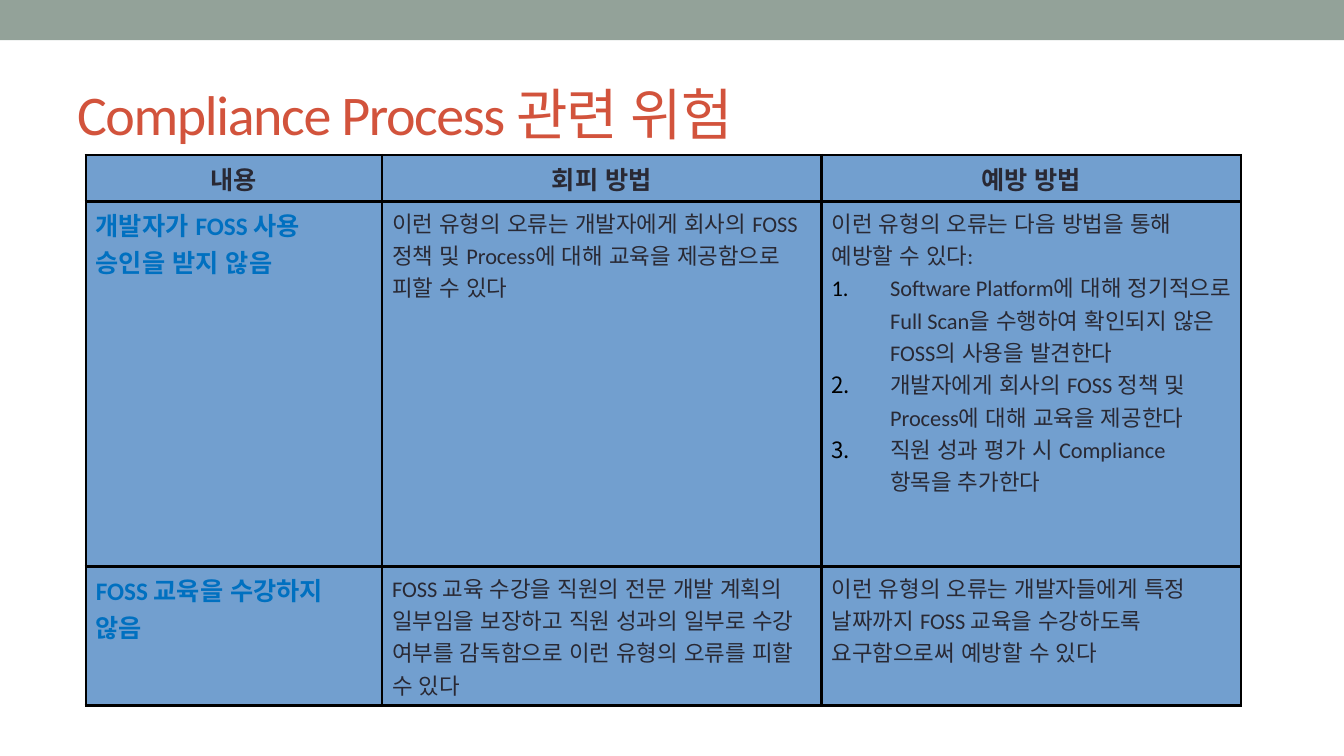
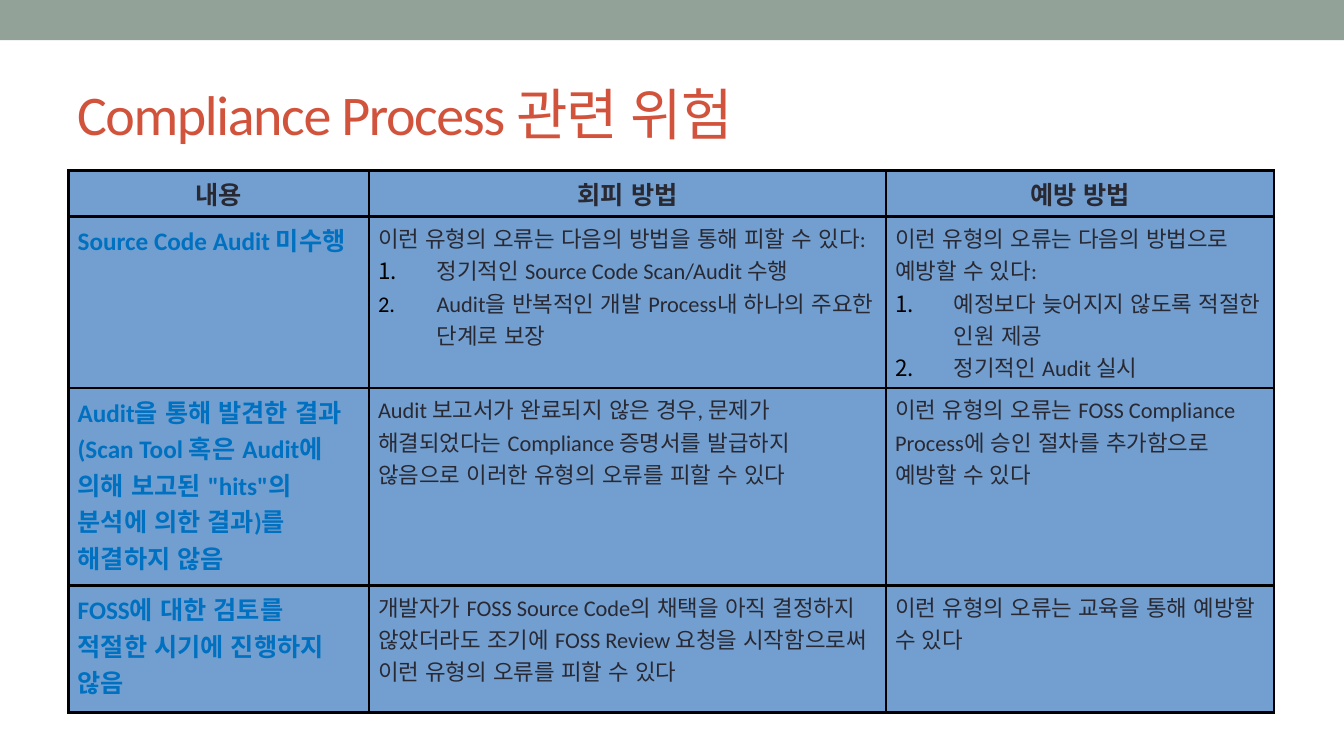
from dataclasses import dataclass

import lxml.etree
import pptx
import pptx.dml.color
import pptx.enum.lang
import pptx.enum.shapes
import pptx.enum.text
import pptx.oxml.ns
import pptx.util

WIDE = pptx.util.Inches(13.33)
HIGH = pptx.util.Inches(7.5)


@dataclass(frozen=True)
class Theme:
    font: str = "Calibri"
    band: str = "93A299"
    title: str = "D2533C"
    ink: str = "292934"
    topic: str = "0070C0"
    cell: str = "729FCF"
    line: str = "000000"
    big: float = 40
    head: float = 18
    body: float = 16
    rule: float = 1.98
    tight: int = -100


@dataclass(frozen=True)
class Risk:
    topic: str
    avoid: str
    guard: str
    avoid_steps: tuple[str, ...] = ()
    guard_steps: tuple[str, ...] = ()


@dataclass(frozen=True)
class Page:
    left: float
    top: float
    cols: tuple[float, ...]
    rows: tuple[float, ...]
    pad: float
    risks: tuple[Risk, ...]


THEME = Theme()
TITLE = "Compliance Process 관련 위험"
HEADS = ("내용", "회피 방법", "예방 방법")
HANG = 4.35

PAGES = (
    Page(
        6.38, 20.53, (22.05, 32.7, 31.2), (6.13, 48.27, 18.4), 0.75,
        (
            Risk(
                "개발자가 FOSS 사용 승인을 받지 않음",
                "이런 유형의 오류는 개발자에게 회사의 FOSS 정책 및 Process에 대해 교육을 제공함으로 피할 수 있다",
                "이런 유형의 오류는 다음 방법을 통해 예방할 수 있다:",
                guard_steps=(
                    "Software Platform에 대해 정기적으로 Full Scan을 수행하여 확인되지 않은 FOSS의 사용을 발견한다",
                    "개발자에게 회사의 FOSS 정책 및 Process에 대해 교육을 제공한다",
                    "직원 성과 평가 시 Compliance 항목을 추가한다",
                ),
            ),
            Risk(
                "FOSS 교육을 수강하지 않음",
                "FOSS 교육 수강을 직원의 전문 개발 계획의 일부임을 보장하고 직원 성과의 일부로 수강 여부를 감독함으로 이런 유형의 오류를 피할 수 있다",
                "이런 유형의 오류는 개발자들에게 특정 날짜까지 FOSS 교육을 수강하도록 요구함으로써 예방할 수 있다",
            ),
        ),
    ),
    Page(
        5.1, 22.53, (22.35, 38.48, 28.87), (6.13, 22.67, 26.13, 16.8), 0.68,
        (
            Risk(
                "Source Code Audit 미수행",
                "이런 유형의 오류는 다음의 방법을 통해 피할 수 있다:",
                "이런 유형의 오류는 다음의 방법으로 예방할 수 있다:",
                avoid_steps=(
                    "정기적인 Source Code Scan/Audit 수행",
                    "Audit을 반복적인 개발 Process내 하나의 주요한 단계로 보장",
                ),
                guard_steps=(
                    "예정보다 늦어지지 않도록 적절한 인원 제공",
                    "정기적인 Audit 실시",
                ),
            ),
            Risk(
                "Audit을 통해 발견한 결과(Scan Tool 혹은 Audit에 의해 보고된 \"hits\"의 분석에 의한 결과)를 해결하지 않음",
                "Audit 보고서가 완료되지 않은 경우, 문제가 해결되었다는 Compliance 증명서를 발급하지 않음으로 이러한 유형의 오류를 피할 수 있다",
                "이런 유형의 오류는 FOSS Compliance Process에 승인 절차를 추가함으로 예방할 수 있다",
            ),
            Risk(
                "FOSS에 대한 검토를 적절한 시기에 진행하지 않음",
                "개발자가 FOSS Source Code의 채택을 아직 결정하지 않았더라도 조기에 FOSS Review 요청을 시작함으로써 이런 유형의 오류를 피할 수 있다",
                "이런 유형의 오류는 교육을 통해 예방할 수 있다",
            ),
        ),
    ),
)


def across(share: float) -> int:
    return round(WIDE * share / 100)


def down(share: float) -> int:
    return round(HIGH * share / 100)


def shade(color: str) -> pptx.dml.color.RGBColor:
    return pptx.dml.color.RGBColor.from_string(color)


def add_tag(parent, name: str, **attrs: str):
    return lxml.etree.SubElement(parent, pptx.oxml.ns.qn(name), attrs)


def style(para, size: float, color: str, bold: bool = False) -> None:
    for run in para.runs:
        run.font.name = THEME.font
        run.font.size = pptx.util.Pt(size)
        run.font.bold = bold
        run.font.color.rgb = shade(color)
        run.font.language_id = pptx.enum.lang.MSO_LANGUAGE_ID.KOREAN


def number(para) -> None:
    props = para._p.get_or_add_pPr()
    props.set("marL", str(across(HANG)))
    props.set("indent", str(-across(HANG)))
    add_tag(add_tag(props, "a:buClr"), "a:srgbClr", val=THEME.line)
    add_tag(props, "a:buAutoNum", type="arabicPeriod")


def frame(cell, pad: float) -> None:
    cell.fill.solid()
    cell.fill.fore_color.rgb = shade(THEME.cell)
    cell.margin_left = cell.margin_right = across(pad)
    props = cell._tc.get_or_add_tcPr()
    for place, side in enumerate(("a:lnL", "a:lnR", "a:lnT", "a:lnB")):
        edge = add_tag(props, side, w=str(pptx.util.Pt(THEME.rule)))
        add_tag(add_tag(edge, "a:solidFill"), "a:srgbClr", val=THEME.line)
        props.insert(place, edge)


def fill_head(cell, text: str) -> None:
    cell.text_frame.text = text
    para = cell.text_frame.paragraphs[0]
    para.alignment = pptx.enum.text.PP_ALIGN.CENTER
    style(para, THEME.head, THEME.ink, True)


def fill_topic(cell, text: str) -> None:
    cell.text_frame.text = text
    style(cell.text_frame.paragraphs[0], THEME.head, THEME.topic, True)


def fill_body(cell, text: str, steps: tuple[str, ...]) -> None:
    cell.text_frame.text = text
    style(cell.text_frame.paragraphs[0], THEME.body, THEME.ink)
    for step in steps:
        para = cell.text_frame.add_paragraph()
        para.text = step
        number(para)
        style(para, THEME.body, THEME.ink)


def draw_band(slide) -> None:
    band = slide.shapes.add_shape(
        pptx.enum.shapes.MSO_SHAPE.RECTANGLE, 0, 0, WIDE, down(5.33))
    band.shadow.inherit = False
    band.fill.solid()
    band.fill.fore_color.rgb = shade(THEME.band)
    band.line.fill.background()


def draw_title(slide) -> None:
    box = slide.shapes.add_textbox(across(5), down(7.73), across(90), down(14.4))
    text = box.text_frame
    text.word_wrap = True
    text.vertical_anchor = pptx.enum.text.MSO_ANCHOR.MIDDLE
    text.text = TITLE
    style(text.paragraphs[0], THEME.big, THEME.title)
    for run in text.paragraphs[0].runs:
        run._r.get_or_add_rPr().set("spc", str(THEME.tight))


def draw_table(slide, page: Page) -> None:
    table = slide.shapes.add_table(
        len(page.rows), len(page.cols), across(page.left), down(page.top),
        across(sum(page.cols)), down(sum(page.rows))).table
    table.first_row = table.horz_banding = False
    for col, share in zip(table.columns, page.cols):
        col.width = across(share)
    for row, share in zip(table.rows, page.rows):
        row.height = down(share)
    for cell in table.iter_cells():
        frame(cell, page.pad)
    for col, head in enumerate(HEADS):
        fill_head(table.cell(0, col), head)
    for row, risk in enumerate(page.risks, 1):
        fill_topic(table.cell(row, 0), risk.topic)
        fill_body(table.cell(row, 1), risk.avoid, risk.avoid_steps)
        fill_body(table.cell(row, 2), risk.guard, risk.guard_steps)


def main() -> None:
    deck = pptx.Presentation()
    deck.slide_width, deck.slide_height = WIDE, HIGH
    for page in PAGES:
        slide = deck.slides.add_slide(deck.slide_layouts[6])
        draw_band(slide)
        draw_title(slide)
        draw_table(slide, page)
    deck.save("out.pptx")


if __name__ == "__main__":
    main()
